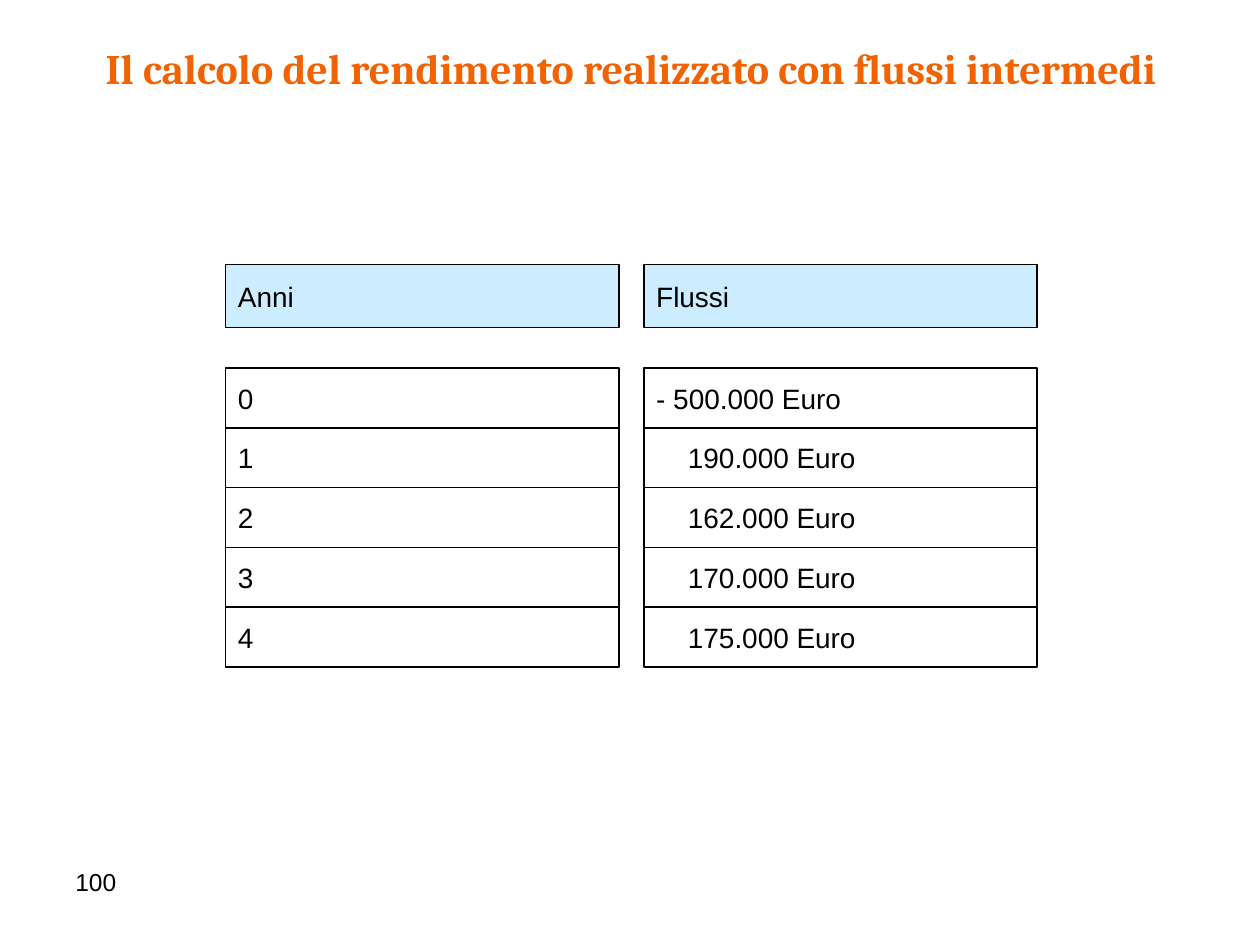
import pptx
import pptx.util
import pptx.dml.color
import pptx.enum.shapes
import pptx.enum.text

Inch = pptx.util.Inches
RGB = pptx.dml.color.RGBColor
Align = pptx.enum.text.PP_ALIGN
Anchor = pptx.enum.text.MSO_ANCHOR

ORANGE = RGB(0xF2, 0x62, 0x00)
BLACK = RGB(0x00, 0x00, 0x00)
BLUE = RGB(0xCC, 0xEC, 0xFF)
WHITE = RGB(0xFF, 0xFF, 0xFF)

deck = pptx.Presentation()
deck.slide_width, deck.slide_height = Inch(10), Inch(7.5)
slide = deck.slides.add_slide(deck.slide_layouts[6])


def write(shape, text, size, name="Arial", color=BLACK, bold=False,
          align=Align.LEFT, anchor=Anchor.TOP):
    frame = shape.text_frame
    frame.word_wrap = True
    frame.vertical_anchor = anchor
    para = frame.paragraphs[0]
    para.text = text
    para.alignment = align
    style = {"name": name, "size": pptx.util.Pt(size), "bold": bold}
    for key, value in style.items():
        setattr(para.font, key, value)
    para.font.color.rgb = color


# Title and page number
title = slide.shapes.add_textbox(Inch(0.48), Inch(0.29), Inch(9.05), Inch(0.91))
write(title, "Il calcolo del rendimento realizzato con flussi intermedi", 24,
      "Cambria", ORANGE, True, Align.CENTER)
page = slide.shapes.add_textbox(Inch(0.5), Inch(6.83), Inch(2.33), Inch(0.52))
write(page, "100", 14)

# Grid of cells: a header row, a gap, then one row per year
LEFT, WIDTH, STEP = 1.79, 3.12, 3.32
HEAD, TALL = 2.1, 0.5
BODY, ROW = 2.92, 0.475
INDENT = 0.35  # lines up the amounts that have no minus sign

flows = ["- 500.000 Euro", "190.000 Euro", "162.000 Euro",
         "170.000 Euro", "175.000 Euro"]
rows = [(HEAD, TALL, BLUE, ("Anni", "Flussi"))]
for year, flow in enumerate(flows):
    rows.append((BODY + year * ROW, ROW, WHITE, (str(year), flow)))

group = slide.shapes.add_group_shape()
for top, high, fill, texts in rows:
    for col, text in enumerate(texts):
        cell = group.shapes.add_shape(
            pptx.enum.shapes.MSO_SHAPE.RECTANGLE,
            Inch(LEFT + col * STEP), Inch(top), Inch(WIDTH), Inch(high))
        cell.shadow.inherit = False
        cell.fill.solid()
        cell.fill.fore_color.rgb = fill
        cell.line.color.rgb = BLACK
        cell.line.width = pptx.util.Pt(1)
        write(cell, text, 16, anchor=Anchor.MIDDLE)
        if col == 1 and text[0].isdigit():
            cell.text_frame.margin_left = Inch(INDENT)

deck.save("out.pptx")
